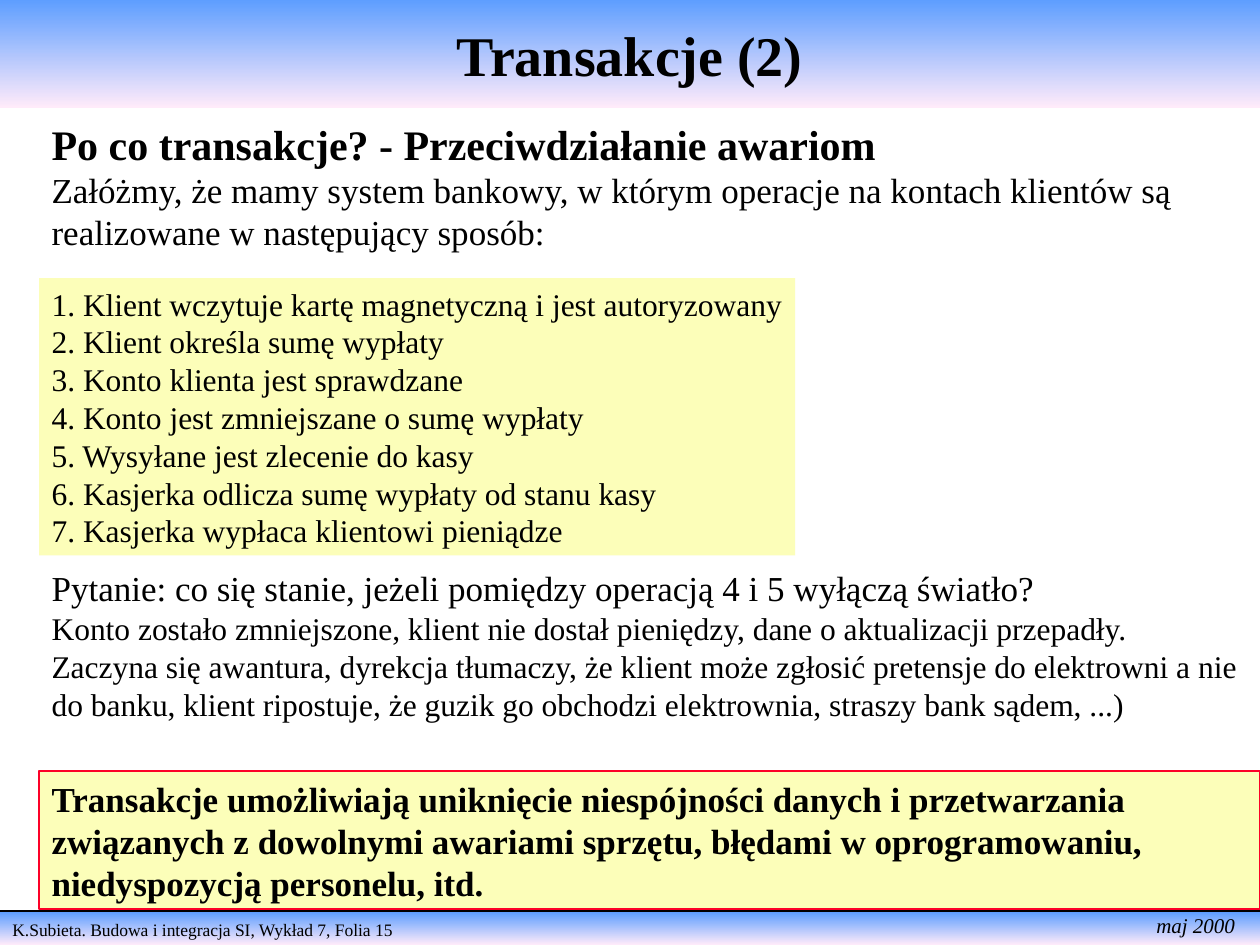
from dataclasses import dataclass

from pptx import Presentation
from pptx.dml.color import RGBColor
from pptx.enum.shapes import MSO_CONNECTOR, MSO_SHAPE
from pptx.enum.text import MSO_ANCHOR, MSO_AUTO_SIZE, PP_ALIGN
from pptx.oxml.ns import qn
from pptx.util import Cm, Pt
from lxml import etree

RECTANGLE = MSO_SHAPE.RECTANGLE
STRAIGHT = MSO_CONNECTOR.STRAIGHT
LEFT, CENTER = PP_ALIGN.LEFT, PP_ALIGN.CENTER
TOP, MIDDLE = MSO_ANCHOR.TOP, MSO_ANCHOR.MIDDLE
FIT_SHAPE, NO_FIT = MSO_AUTO_SIZE.SHAPE_TO_FIT_TEXT, MSO_AUTO_SIZE.NONE


@dataclass(frozen=True)
class Theme:
    """Colours, font and type sizes of the slide."""
    font: str = "Times New Roman"
    ink: RGBColor = RGBColor(0, 0, 0)
    band: tuple = (RGBColor(0x5E, 0x9E, 0xFF), RGBColor(0xFF, 0xEB, 0xFA))
    note: RGBColor = RGBColor(0xFC, 0xFE, 0xB9)
    alert: RGBColor = RGBColor(0xFC, 0x01, 0x28)
    title: int = 32
    heading: int = 24
    lead: int = 20
    body: int = 18
    date: int = 12
    footer: int = 10


THEME = Theme()
WIDTH, HEIGHT = 25.4, 19.05
MARGIN = 0.79

TITLE = "Transakcje (2)"
FOOTER = "K.Subieta. Budowa i integracja SI, Wykład 7, Folia 15"
DATE = "maj 2000"
INTRO = [
    ("Po co transakcje? - Przeciwdziałanie awariom", THEME.heading, True),
    ("Załóżmy, że mamy system bankowy, w którym operacje na kontach klientów są "
     "realizowane w następujący sposób:", THEME.lead, False),
]
STEPS = [
    "Klient wczytuje kartę magnetyczną i jest autoryzowany",
    "Klient określa sumę wypłaty",
    "Konto klienta jest sprawdzane",
    "Konto jest zmniejszane o sumę wypłaty",
    "Wysyłane jest zlecenie do kasy",
    "Kasjerka odlicza sumę wypłaty od stanu kasy",
    "Kasjerka wypłaca klientowi pieniądze",
]
QUESTION = [
    ("Pytanie: co się stanie, jeżeli pomiędzy operacją 4 i 5 wyłączą światło?",
     THEME.lead, False),
    ("Konto zostało zmniejszone, klient nie dostał pieniędzy, dane o aktualizacji "
     "przepadły.", THEME.body, False),
    ("Zaczyna się awantura, dyrekcja tłumaczy, że klient może zgłosić pretensje do "
     "elektrowni a nie do banku, klient ripostuje, że guzik go obchodzi elektrownia, "
     "straszy bank sądem, ...)", THEME.body, False),
]
CONCLUSION = (
    "Transakcje umożliwiają uniknięcie niespójności danych i przetwarzania "
    "związanych z dowolnymi awariami sprzętu, błędami w oprogramowaniu, "
    "niedyspozycją personelu, itd."
)


def write(shape, lines, wrap=True, fit=FIT_SHAPE, align=LEFT, anchor=TOP, italic=False):
    """Fill a shape with (text, size, bold) paragraphs."""
    frame = shape.text_frame
    frame.text = "\n".join(text for text, _, _ in lines)
    frame.word_wrap, frame.auto_size, frame.vertical_anchor = wrap, fit, anchor
    frame.margin_left = frame.margin_right = Cm(0.25)
    frame.margin_top = frame.margin_bottom = Cm(0.13)
    for paragraph, (_, size, bold) in zip(frame.paragraphs, lines):
        paragraph.alignment = align
        font = paragraph.font
        font.name, font.size, font.bold, font.italic = THEME.font, Pt(size), bold, italic
        font.color.rgb = THEME.ink


def paint_band(shape):
    """Give a shape the vertical band gradient."""
    shape.fill.gradient()
    shape.fill.gradient_angle = 270
    for stop, position, color in zip(shape.fill.gradient_stops, (0, 1), THEME.band):
        stop.position, stop.color.rgb = position, color


def add_box(slide, left, top, width, height):
    """Add a rectangle without shadow or outline."""
    box = slide.shapes.add_shape(RECTANGLE, Cm(left), Cm(top), Cm(width), Cm(height))
    box.shadow.inherit = False
    box.line.fill.background()
    return box


def add_note(slide, left, top, width, height):
    """Add a rectangle in the note colour."""
    note = add_box(slide, left, top, width, height)
    note.fill.solid()
    note.fill.fore_color.rgb = THEME.note
    return note


def add_text(slide, left, top, width, height, lines, **options):
    """Add a text box with the given paragraphs."""
    box = slide.shapes.add_textbox(Cm(left), Cm(top), Cm(width), Cm(height))
    write(box, lines, **options)


def add_footer(slide):
    """Add the footer band, its rule and the date."""
    band = add_box(slide, 0, 18.39, WIDTH, 0.66)
    paint_band(band)
    write(band, [(FOOTER, THEME.footer, False)])
    rule = slide.shapes.add_connector(STRAIGHT, 0, Cm(18.36), Cm(WIDTH), Cm(18.36))
    rule.line.color.rgb, rule.line.width = THEME.ink, Pt(1)
    etree.SubElement(rule.element.spPr, qn("a:effectLst"))
    add_text(slide, 23.06, 18.26, 2.25, 0.76, [(DATE, THEME.date, False)],
             wrap=False, fit=NO_FIT, italic=True)


def add_title(slide):
    """Turn the title placeholder into the top band."""
    title = slide.shapes.title
    title.left, title.top, title.width, title.height = 0, 0, Cm(WIDTH), Cm(2.17)
    paint_band(title)
    write(title, [(TITLE, THEME.title, True)], fit=NO_FIT, align=CENTER, anchor=MIDDLE)


def main():
    """Build and save the slide."""
    deck = Presentation()
    deck.slide_width, deck.slide_height = Cm(WIDTH), Cm(HEIGHT)
    slide = deck.slides.add_slide(deck.slide_layouts.get_by_name("Title Only"))
    add_footer(slide)
    add_title(slide)
    add_text(slide, MARGIN, 2.26, 23.6, 2.97, INTRO)
    steps = add_note(slide, MARGIN, 5.61, 15.24, 5.59)
    write(steps, [(f"{number}. {step}", THEME.body, False)
                  for number, step in enumerate(STEPS, 1)], wrap=False)
    add_text(slide, MARGIN, 11.3, 24.49, 3.4, QUESTION)
    conclusion = add_note(slide, MARGIN, 15.54, WIDTH - MARGIN, 2.79)
    conclusion.line.color.rgb, conclusion.line.width = THEME.alert, Pt(1)
    write(conclusion, [(CONCLUSION, THEME.lead, True)])
    deck.save("out.pptx")


if __name__ == "__main__":
    main()
